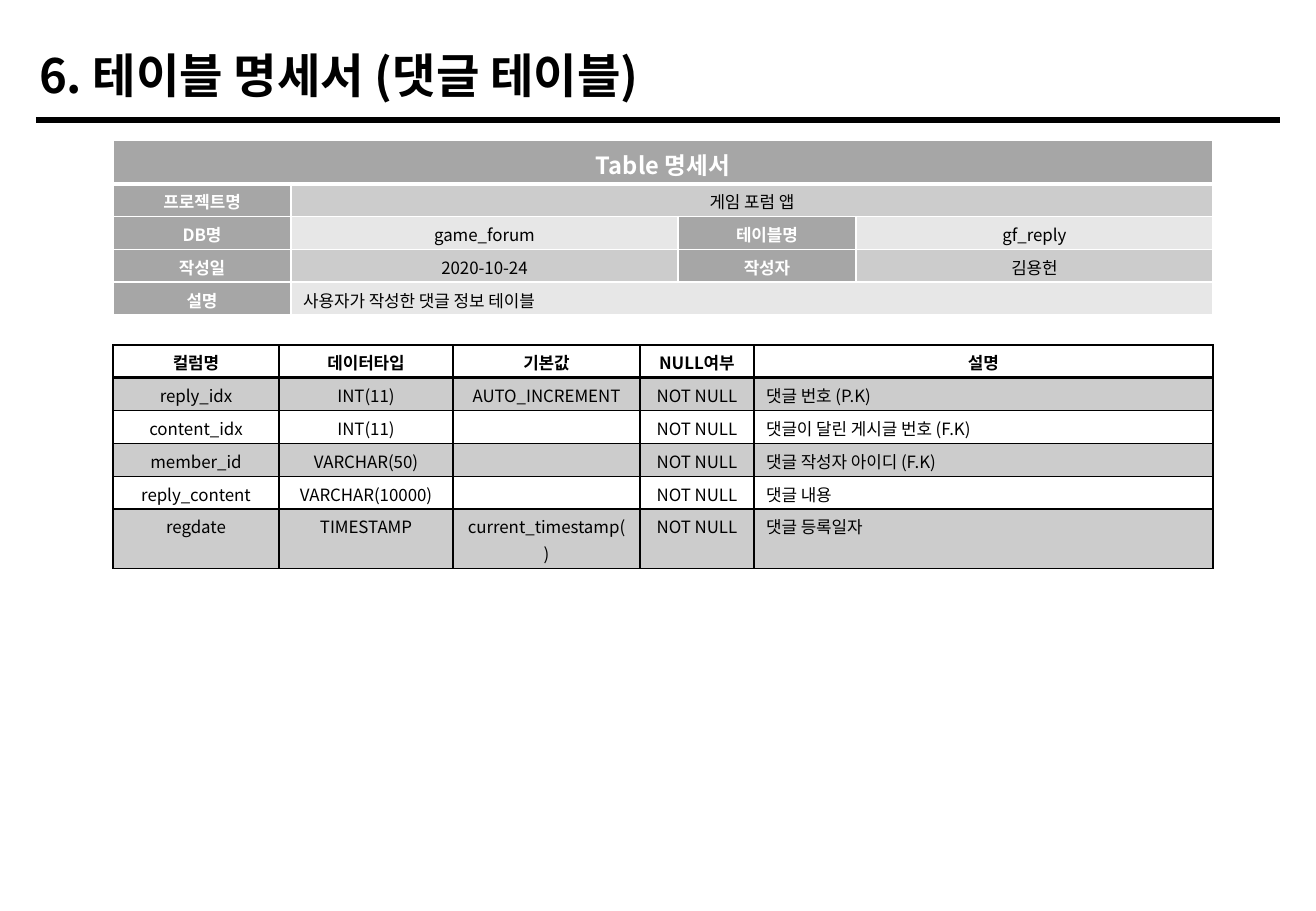
from lxml import etree
from pptx import Presentation
from pptx.dml.color import RGBColor
from pptx.enum.shapes import MSO_CONNECTOR
from pptx.enum.text import MSO_ANCHOR, PP_ALIGN
from pptx.oxml.ns import qn
from pptx.util import Pt

PX = 7526  # EMU per px
FONT = "Noto Sans CJK KR"
LEFT, MID = PP_ALIGN.LEFT, PP_ALIGN.CENTER
TOP, CENTER = MSO_ANCHOR.TOP, MSO_ANCHOR.MIDDLE
LINE = MSO_CONNECTOR.STRAIGHT
COLORS = {
    "black": "000000", "white": "FFFFFF",
    "label": "A6A6A6", "dark": "CCCCCC", "light": "E7E7E7",
}

INFO = [
    ["Table 명세서", "", "", ""],
    ["프로젝트명", "게임 포럼 앱", "", ""],
    ["DB명", "game_forum", "테이블명", "gf_reply"],
    ["작성일", "2020-10-24", "작성자", "김용헌"],
    ["설명", "사용자가 작성한 댓글 정보 테이블", "", ""],
]
FIELDS = [
    ["컬럼명", "데이터타입", "기본값", "NULL여부", "설명"],
    ["reply_idx", "INT(11)", "AUTO_INCREMENT", "NOT NULL", "댓글 번호 (P.K)"],
    ["content_idx", "INT(11)", "", "NOT NULL", "댓글이 달린 게시글 번호 (F.K)"],
    ["member_id", "VARCHAR(50)", "", "NOT NULL", "댓글 작성자 아이디 (F.K)"],
    ["reply_content", "VARCHAR(10000)", "", "NOT NULL", "댓글 내용"],
    ["regdate", "TIMESTAMP", "current_timestamp()", "NOT NULL", "댓글 등록일자"],
]


def px(n):
    return n * PX


def rgb(name):
    return RGBColor.from_string(COLORS[name])


def put(frame, text, size=10, color="black", bold=False, align=MID):
    para = frame.paragraphs[0]
    para.alignment = align
    para.line_spacing = 1.1
    if not text:
        etree.SubElement(para._p, qn("a:endParaRPr"), sz=str(size * 100))
        return
    run = para.add_run()
    run.text = text
    font = run.font
    font.size, font.bold, font.name = Pt(size), bold, FONT
    font.color.rgb = rgb(color)
    etree.SubElement(run._r.get_or_add_rPr(), qn("a:ea"), typeface=FONT)


def edge(cell, color, top=1, bottom=1):
    props = cell._tc.get_or_add_tcPr()
    for side, width in zip("LRTB", (1, 1, top, bottom)):
        line = etree.SubElement(props, qn("a:ln" + side), w=str(Pt(width)))
        fill = etree.SubElement(line, qn("a:solidFill"))
        etree.SubElement(fill, qn("a:srgbClr"), val=COLORS[color])


def paint(cell, color, alpha=100):
    cell.fill.solid()
    cell.fill.fore_color.rgb = rgb(color)
    if alpha < 100:
        tint = cell._tc.tcPr.find(".//" + qn("a:solidFill") + "/" + qn("a:srgbClr"))
        tints = cell._tc.tcPr.find(qn("a:solidFill")).find(qn("a:srgbClr"))
        tint = tints if tints is not None else tint
        etree.SubElement(tint, qn("a:alpha"), val=str(alpha * 1000))


def grid(slide, x, y, cols, rows):
    frame = slide.shapes.add_table(
        len(rows), len(cols), px(x), px(y), px(sum(cols)), px(sum(rows)))
    table = frame.table
    table.first_row = table.horz_banding = False
    for col, width in zip(table.columns, cols):
        col.width = px(width)
    for row, height in zip(table.rows, rows):
        row.height = px(height)
    for cell in table.iter_cells():
        cell.margin_top = cell.margin_bottom = px(3)
    return table


def add_title(slide):
    title = slide.shapes.title
    title.left, title.top, title.width, title.height = map(px, (27, 35, 861, 75))
    title.text_frame.vertical_anchor = TOP
    put(title.text_frame, "6. 테이블 명세서 (댓글 테이블)", size=28, bold=True, align=LEFT)


def add_rule(slide):
    rule = slide.shapes.add_connector(LINE, px(36), px(120), px(1280), px(120))
    rule.line.color.rgb = rgb("black")
    rule.line.width = Pt(3)
    etree.SubElement(rule._element.spPr, qn("a:effectLst"))


def add_info(slide):
    table = grid(slide, 113, 140, [178, 387, 178, 357], [40, 32, 33, 32, 33])
    last = len(INFO) - 1
    for r, row in enumerate(INFO):
        for c, text in enumerate(row):
            cell = table.cell(r, c)
            cell.vertical_anchor = CENTER
            label = r == 0 or c == 0 or (c == 2 and text != "")
            edge(cell, "white", top=3 if r == 1 else 1, bottom=3 if r == 0 else 1)
            paint(cell, "label" if label else "dark" if r % 2 else "light")
            put(cell.text_frame, text, size=14 if r == 0 else 10,
                color="white" if label else "black", bold=label,
                align=LEFT if r == last and c else MID)
    # Merged rows
    for r, c in ((0, 0), (1, 1), (last, 1)):
        table.cell(r, c).merge(table.cell(r, 3))


def add_fields(slide):
    table = grid(slide, 113, 345, [166, 174, 187, 114, 459], [32, 33, 32, 33, 32, 33])
    for r, row in enumerate(FIELDS):
        for c, text in enumerate(row):
            cell = table.cell(r, c)
            edge(cell, "black", top=2 if r == 1 else 1, bottom=2 if r == 0 else 1)
            if r % 2:
                paint(cell, "black", alpha=20)
            else:
                cell.fill.background()
            put(cell.text_frame, text, bold=r == 0, align=LEFT if r and c == 4 else MID)


def main():
    deck = Presentation()
    deck.slide_width, deck.slide_height = px(1316), px(911)
    slide = deck.slides.add_slide(deck.slide_layouts[5])
    add_rule(slide)
    add_title(slide)
    add_info(slide)
    add_fields(slide)
    deck.save("out.pptx")


if __name__ == "__main__":
    main()
